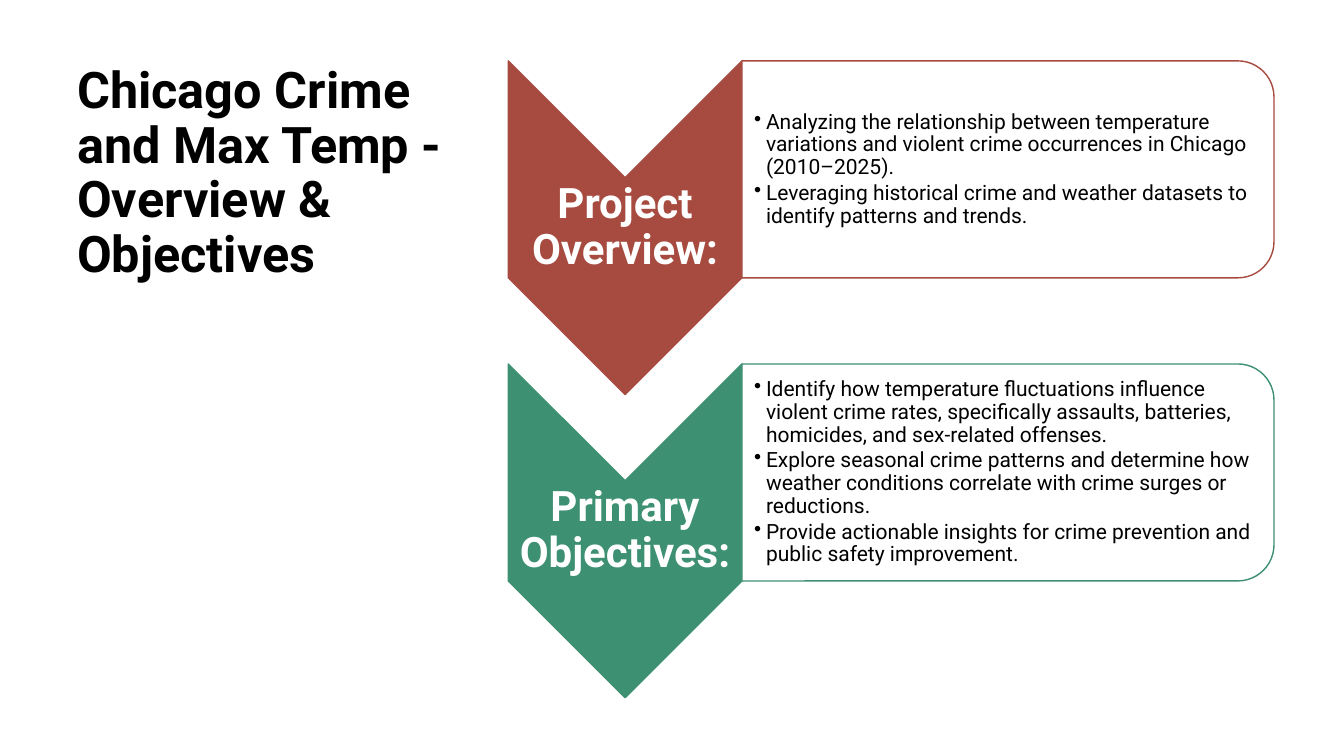
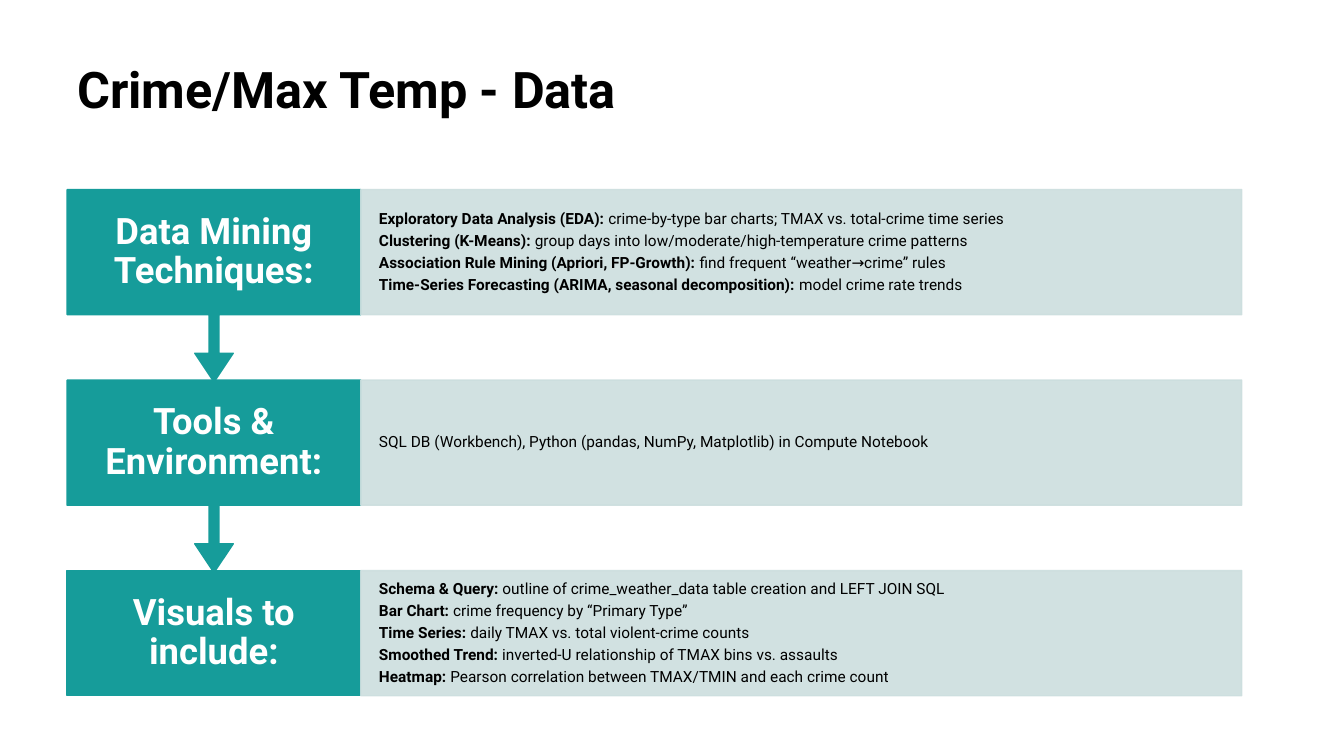
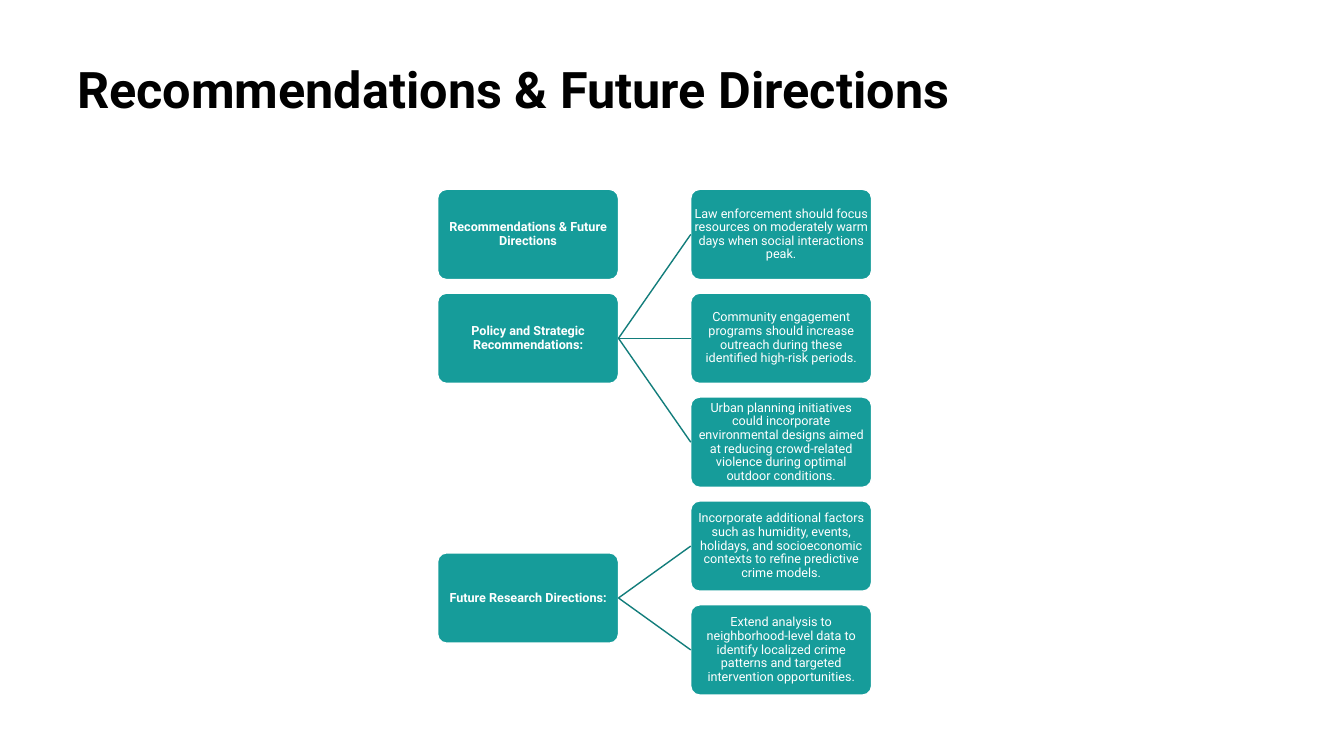
from dataclasses import dataclass

from lxml.etree import SubElement
from pptx import Presentation
from pptx.dml.color import RGBColor
from pptx.enum.shapes import MSO_CONNECTOR, MSO_SHAPE
from pptx.enum.text import MSO_ANCHOR, PP_ALIGN
from pptx.oxml.ns import qn
from pptx.util import Pt


@dataclass(frozen=True)
class Theme:
    font: str = "Roboto"
    black: str = "000000"
    white: str = "FFFFFF"
    red: str = "A74B40"
    green: str = "3D9072"
    teal: str = "169C9A"
    dark_teal: str = "127D7B"
    pale: str = "CCDEDE"
    title: float = 36
    chevron: float = 30
    label: float = 26
    bullet: float = 15
    detail: float = 11
    node: float = 9


T = Theme()


def add_shape(s, kind, box, fill, line, rotation=0, fill_alpha=100, line_alpha=100):
    """Add a shape that covers box (left, top, width, height) once it is rotated."""
    x, y, w, h = box
    if rotation == 90:
        x, y, w, h = x + (w - h) / 2, y + (h - w) / 2, h, w
    sp = s.shapes.add_shape(kind, Pt(x), Pt(y), Pt(w), Pt(h))
    sp.rotation = rotation
    sp.shadow.inherit = False
    sp.fill.solid()
    sp.line.fill.solid()
    sp.line.width = Pt(1)
    for paint, color, alpha in ((sp.fill, fill, fill_alpha), (sp.line.fill, line, line_alpha)):
        paint.fore_color.rgb = RGBColor.from_string(color)
    for parent, alpha in ((sp.element.spPr, fill_alpha), (sp.line._get_or_add_ln(), line_alpha)):
        if alpha < 100:
            clr = parent.find(qn("a:solidFill")).find(qn("a:srgbClr"))
            SubElement(clr, qn("a:alpha"), val=str(alpha * 1000))
    return sp


def write_text(sp, paragraphs, size, color, insets, align=PP_ALIGN.LEFT,
               anchor=MSO_ANCHOR.MIDDLE, after=0, bullet=False):
    """Write paragraphs, each a list of (text, bold) runs; a newline breaks the line."""
    tf = sp.text_frame
    left, top, right, bottom = (Pt(v) for v in insets)
    frame = dict(word_wrap=True, vertical_anchor=anchor, margin_left=left,
                 margin_top=top, margin_right=right, margin_bottom=bottom)
    for name, value in frame.items():
        setattr(tf, name, value)
    for i, runs in enumerate(paragraphs):
        p = tf.add_paragraph() if i else tf.paragraphs[0]
        for name, value in dict(alignment=align, line_spacing=0.9, space_after=Pt(after)).items():
            setattr(p, name, value)
        if bullet:
            pPr = p._p.get_or_add_pPr()
            pPr.set("marL", str(Pt(8.6)))
            pPr.set("indent", str(-Pt(8.6)))
            SubElement(pPr, qn("a:buChar"), char="•")
        for text, bold in runs:
            for j, line in enumerate(text.split("\n")):
                if j:
                    p.add_line_break()
                r = p.add_run()
                r.text = line
                for name, value in dict(name=T.font, size=Pt(size), bold=bold).items():
                    setattr(r.font, name, value)
                r.font.color.rgb = RGBColor.from_string(color)


prs = Presentation()
prs.slide_width, prs.slide_height = Pt(960), Pt(540)

# Slides and titles
titles = [
    ("Chicago Crime and Max Temp -\nOverview & Objectives", 275, 456),
    ("Crime/Max Temp - Data", 839, 89),
    ("Recommendations & Future Directions", 839, 89),
]
slides = []
for title, width, height in titles:
    s = prs.slides.add_slide(prs.slide_layouts[6])
    tb = s.shapes.add_textbox(Pt(48), Pt(43.2), Pt(width), Pt(height))
    write_text(tb, [[(title, True)]], T.title, T.black, (7.2, 3.6, 7.2, 3.6),
               anchor=MSO_ANCHOR.TOP)
    slides.append(s)
overview, data, directions = slides

# Overview: chevrons with bulleted panels
goals = [
    ("Project Overview:", T.red, [
        "Analyzing the relationship between temperature variations and violent crime "
        "occurrences in Chicago (2010–2025).",
        "Leveraging historical crime and weather datasets to identify patterns and trends.",
    ]),
    ("Primary Objectives:", T.green, [
        "Identify how temperature fluctuations influence violent crime rates, specifically "
        "assaults, batteries, homicides, and sex-related offenses.",
        "Explore seasonal crime patterns and determine how weather conditions correlate "
        "with crime surges or reductions.",
        "Provide actionable insights for crime prevention and public safety improvement.",
    ]),
]
chevron_x, chevron_w, panel_x = 363, 167, 530
for i, (label, color, bullets) in enumerate(goals):
    y = 43.5 + i * 216.5
    add_shape(overview, MSO_SHAPE.CHEVRON, (chevron_x, y, chevron_w, 238.4), color, color, 90)
    tb = overview.shapes.add_textbox(Pt(chevron_x), Pt(y + 83.5), Pt(chevron_w), Pt(71.4))
    write_text(tb, [[(label, True)]], T.chevron, T.white, (1.5,) * 4, PP_ALIGN.CENTER)
    add_shape(overview, MSO_SHAPE.ROUND_2_SAME_RECTANGLE, (panel_x, y, 380, 155),
              T.white, color, 90, fill_alpha=90)
    tb = overview.shapes.add_textbox(Pt(panel_x), Pt(y + 7.6), Pt(373), Pt(139.8))
    write_text(tb, [[(text, False)] for text in bullets], T.bullet, T.black,
               (8.6, 0.7, 0.7, 0.7), after=2.25, bullet=True)

# Data: labelled steps, each arrow leading down to the next step
steps = [
    ("Data Mining Techniques:", [
        ("Exploratory Data Analysis (EDA):",
         " crime-by-type bar charts; TMAX vs. total-crime time series"),
        ("Clustering (K-Means):", " group days into low/moderate/high-temperature crime patterns"),
        ("Association Rule Mining (Apriori, FP-Growth):", " find frequent “weather→crime” rules"),
        ("Time-Series Forecasting (ARIMA, seasonal decomposition):", " model crime rate trends"),
    ]),
    ("Tools & Environment:", [
        ("", "SQL DB (Workbench), Python (pandas, NumPy, Matplotlib) in Compute Notebook"),
    ]),
    ("Visuals to include:", [
        ("Schema & Query:", " outline of crime_weather_data table creation and LEFT JOIN SQL"),
        ("Bar Chart:", " crime frequency by “Primary Type”"),
        ("Time Series:", " daily TMAX vs. total violent-crime counts"),
        ("Smoothed Trend:", " inverted-U relationship of TMAX bins vs. assaults"),
        ("Heatmap:", " Pearson correlation between TMAX/TMIN and each crime count"),
    ]),
]
step_x, step_w, step_h, detail_w = 48, 209.7, 89.4, 629.3
for i, (label, details) in reversed(list(enumerate(steps))):
    y = 135.4 + i * 136.1
    if i == len(steps) - 1:
        add_shape(data, MSO_SHAPE.RECTANGLE, (step_x, y, step_w, step_h), T.teal, T.teal)
    else:
        sp = add_shape(data, MSO_SHAPE.UP_ARROW_CALLOUT, (step_x, y, step_w, 137.5),
                       T.teal, T.teal, 180)
        for k, value in enumerate((0.05, 0.1, 0.15, 0.65)):
            sp.adjustments[k] = value
    tb = data.shapes.add_textbox(Pt(step_x), Pt(y), Pt(step_w), Pt(step_h))
    write_text(tb, [[(label, True)]], T.label, T.white, (15, 14.4, 15, 14.4), PP_ALIGN.CENTER)
    sp = add_shape(data, MSO_SHAPE.RECTANGLE, (step_x + step_w, y, detail_w, step_h),
                   T.pale, T.pale, fill_alpha=90, line_alpha=90)
    lines = [[(text, bold) for text, bold in ((lead, True), (rest, False)) if text]
             for lead, rest in details]
    write_text(sp, lines, T.detail, T.black, (13, 10.8, 13, 10.8), after=3.85)

# Directions: tree with each topic centred on its actions
topics = [
    ("Recommendations & Future Directions", 0, []),
    ("Policy and Strategic Recommendations:", 1, [
        "Law enforcement should focus resources on moderately warm days when social "
        "interactions peak.",
        "Community engagement programs should increase outreach during these identified "
        "high-risk periods.",
        "Urban planning initiatives could incorporate environmental designs aimed at reducing "
        "crowd-related violence during optimal outdoor conditions.",
    ]),
    ("Future Research Directions:", 3.5, [
        "Incorporate additional factors such as humidity, events, holidays, and socioeconomic "
        "contexts to refine predictive crime models.",
        "Extend analysis to neighborhood-level data to identify localized crime patterns and "
        "targeted intervention opportunities.",
    ]),
]
topic_x, action_x, action_row = 312.6, 493.4, 0
for topic, topic_row, actions in topics:
    nodes = [(topic, topic_x, topic_row, True)]
    nodes += [(text, action_x, action_row + k, False) for k, text in enumerate(actions)]
    action_row += len(actions)
    boxes = []
    for text, x, row, bold in nodes:
        sp = add_shape(directions, MSO_SHAPE.ROUNDED_RECTANGLE,
                       (x, 135.2 + row * 74.2, 129.2, 64.5), T.teal, T.white)
        sp.adjustments[0] = 0.1
        write_text(sp, [[(text, bold)]], T.node, T.white, (0.5,) * 4, PP_ALIGN.CENTER)
        boxes.append(sp)
    for sp in boxes[1:]:
        link = directions.shapes.add_connector(MSO_CONNECTOR.STRAIGHT, 0, 0, 0, 0)
        link.begin_connect(boxes[0], 3)
        link.end_connect(sp, 1)
        link.line.width = Pt(1)
        link.line.color.rgb = RGBColor.from_string(T.dark_teal)
        SubElement(link._element.spPr, qn("a:effectLst"))

prs.save("out.pptx")
